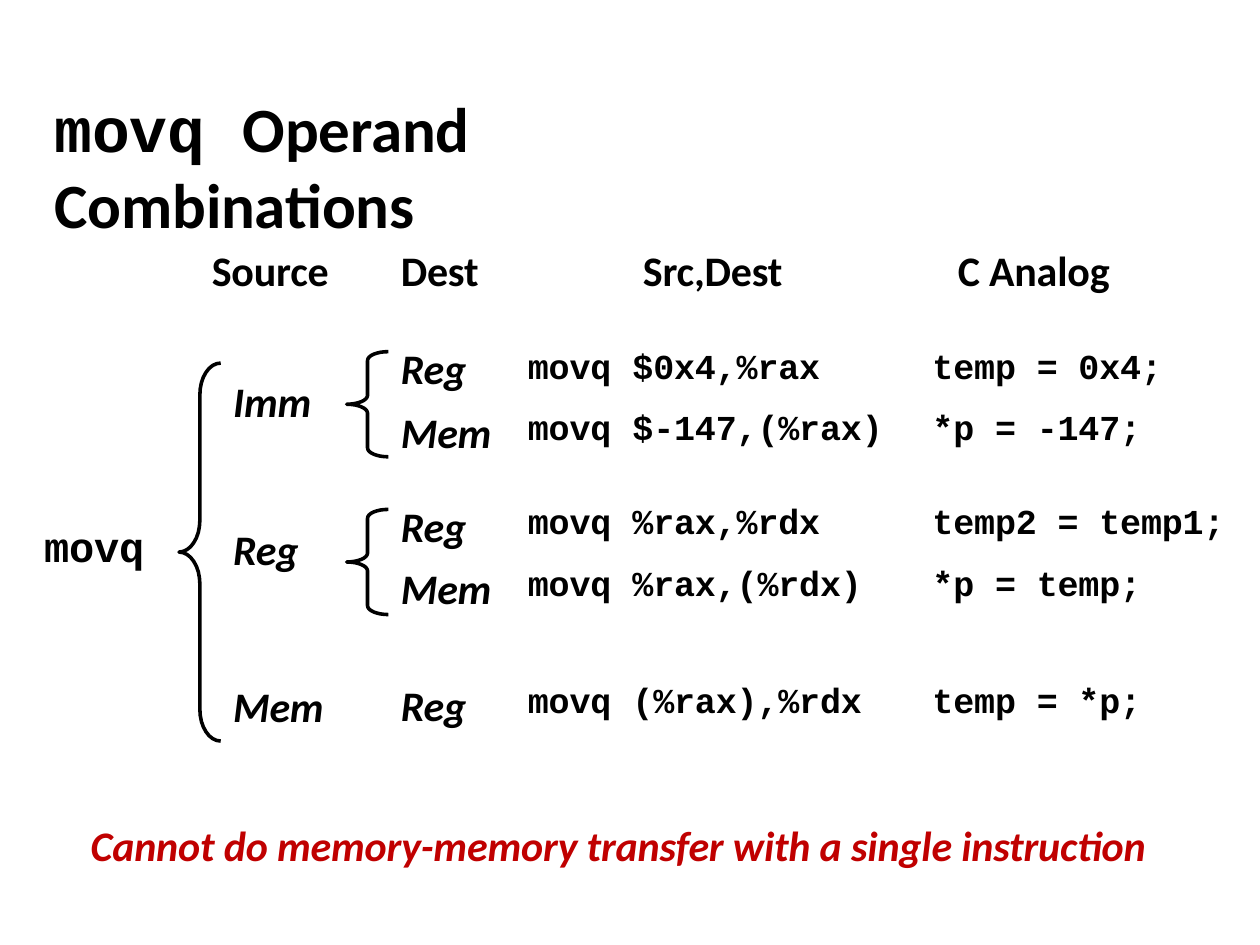
from math import cos, pi, sin

from pptx import Presentation
from pptx.dml.color import RGBColor
from pptx.enum.text import MSO_ANCHOR, MSO_AUTO_SIZE, PP_ALIGN
from pptx.util import Cm, Pt

COLORS = {"text": "000000", "warning": "C00000"}
SANS, MONO = "Calibri", "Courier New"
NO_STYLE_NO_GRID = "{2D5ABB26-0587-4C30-8999-92F81FD0307C}"

# text, left, top, width, font, italic
LABELS = [
    ("movq", 0.86, 10.46, 2.11, MONO, False),
    ("Imm", 4.67, 7.54, 1.65, SANS, True),
    ("Reg", 4.67, 10.52, 1.4, SANS, True),
    ("Source", 4.24, 4.9, 2.46, SANS, False),
    ("Dest", 8.05, 4.9, 1.65, SANS, False),
    ("Src,Dest", 12.93, 4.9, 2.92, SANS, False),
    ("C Analog", 19.28, 4.9, 3.15, SANS, False),
]
# left, middle, half height, corner height
BRACES = [
    (3.61, 11.13, 3.81, 0.64),
    (6.99, 8.15, 1.06, 0.18),
    (6.99, 11.33, 1.06, 0.18),
]
COLUMN_WIDTHS = [2.29, 2.26, 5.77, 6.5]
CELL_INDENTS = [0.08, 0.13, 0.2, 0.48]
# row height, inset above destination, inset above code, cell texts
ROWS = [
    (1.07, 0, 0, ("Reg", "movq", "$0x4,%rax", "temp = 0x4;")),
    (1.6, 0.03, 0.08, ("Mem", "movq", "$-147,(%rax)", "*p = -147;")),
    (1.57, 0.33, 0.38, ("Reg", "movq", "%rax,%rdx", "temp2 = temp1;")),
    (1.8, 0, 0.05, ("Mem", "movq", "%rax,(%rdx)", "*p = temp;")),
    (1.63, 0.56, 0.61, ("Reg", "movq", "(%rax),%rdx", "temp = *p;")),
]


def add_run(paragraph, text, size, font=SANS, italic=False, color="text"):
    run = paragraph.add_run()
    run.text = text
    run.font.name = font
    run.font.size = Pt(size)
    run.font.bold = True
    run.font.italic = italic
    run.font.color.rgb = RGBColor.from_string(COLORS[color])
    run.font._element.set("spc", "-10")


def format_frame(frame):
    """Top-anchored wrapping text with the slide's narrow insets."""
    frame.word_wrap = True
    frame.auto_size = MSO_AUTO_SIZE.SHAPE_TO_FIT_TEXT
    frame.vertical_anchor = MSO_ANCHOR.TOP
    frame.margin_left = frame.margin_top = Cm(0.03)
    frame.margin_right = frame.margin_bottom = 0


def add_text_box(slide, left, top, width, height):
    box = slide.shapes.add_textbox(Cm(left), Cm(top), Cm(width), Cm(height))
    format_frame(box.text_frame)
    return box.text_frame


def format_title(slide):
    title = slide.shapes.title
    title.left, title.top = Cm(1.07), Cm(1.78)
    title.width, title.height = Cm(15.62), Cm(1.6)
    format_frame(title.text_frame)
    paragraph = title.text_frame.paragraphs[0]
    paragraph.alignment = PP_ALIGN.LEFT
    add_run(paragraph, "movq ", 36, MONO)
    add_run(paragraph, "Operand Combinations", 36)


def add_label(slide, text, left, top, width, font, italic):
    frame = add_text_box(slide, left, top, width, 1.09)
    add_run(frame.paragraphs[0], text, 24, font, italic)


def add_memory_note(slide):
    frame = add_text_box(slide, 1.8, 13.69, 21.54, 3.81)
    source = frame.paragraphs[0]
    source._p.get_or_add_pPr().set("marL", str(Cm(2.87)))
    add_run(source, "Mem", 24, italic=True)
    warning = frame.add_paragraph()
    warning.space_before = Pt(50.4)
    add_run(warning, "Cannot do memory-memory transfer with a single instruction",
            24, italic=True, color="warning")


def add_brace(slide, left, middle, half_height, corner, width=0.84, steps=8):
    """Left brace: each half is two quarter ellipses joined by a stem."""
    radius = width / 2
    angles = [pi / 2 * step / steps for step in range(steps + 1)]
    half = [(radius * sin(a), corner * (1 - cos(a))) for a in angles]
    half += [(width - radius * cos(a), half_height - corner + corner * sin(a))
             for a in angles]
    outline = [(x, y) for x, y in reversed(half)] + [(x, -y) for x, y in half[1:]]
    points = [(Cm(left + x), Cm(middle + y)) for x, y in outline]
    builder = slide.shapes.build_freeform(*points[0])
    builder.add_line_segments(points[1:], close=False)
    brace = builder.convert_to_shape()
    brace.shadow.inherit = False
    brace.fill.background()
    brace.line.color.rgb = RGBColor.from_string(COLORS["text"])
    brace.line.width = Pt(2.04)


def add_combinations_table(slide):
    heights = [row[0] for row in ROWS]
    table = slide.shapes.add_table(
        len(ROWS), len(COLUMN_WIDTHS), Cm(8), Cm(7.14),
        Cm(sum(COLUMN_WIDTHS)), Cm(sum(heights))).table
    table.first_row = table.horz_banding = False
    table._tbl.tblPr[0].text = NO_STYLE_NO_GRID
    for column, width in zip(table.columns, COLUMN_WIDTHS):
        column.width = Cm(width)
    for r, (height, label_inset, code_inset, texts) in enumerate(ROWS):
        table.rows[r].height = Cm(height)
        for c, text in enumerate(texts):
            is_label = c == 0
            cell = table.cell(r, c)
            cell.fill.background()
            cell.margin_left = Cm(CELL_INDENTS[c])
            cell.margin_top = Cm(label_inset if is_label else code_inset)
            cell.margin_right = cell.margin_bottom = 0
            paragraph = cell.text_frame.paragraphs[0]
            if r == 0:
                paragraph.line_spacing = Pt(23.9 if is_label else 20.7)
            if c == 1:
                paragraph.alignment = PP_ALIGN.CENTER
            add_run(paragraph, text, 24 if is_label else 20,
                    SANS if is_label else MONO, italic=is_label)


def main():
    presentation = Presentation()
    presentation.slide_width, presentation.slide_height = Cm(25.4), Cm(19.05)
    slide = presentation.slides.add_slide(presentation.slide_layouts[5])
    format_title(slide)
    for label in LABELS:
        add_label(slide, *label)
    add_memory_note(slide)
    for brace in BRACES:
        add_brace(slide, *brace)
    add_combinations_table(slide)
    presentation.save("out.pptx")


if __name__ == "__main__":
    main()
